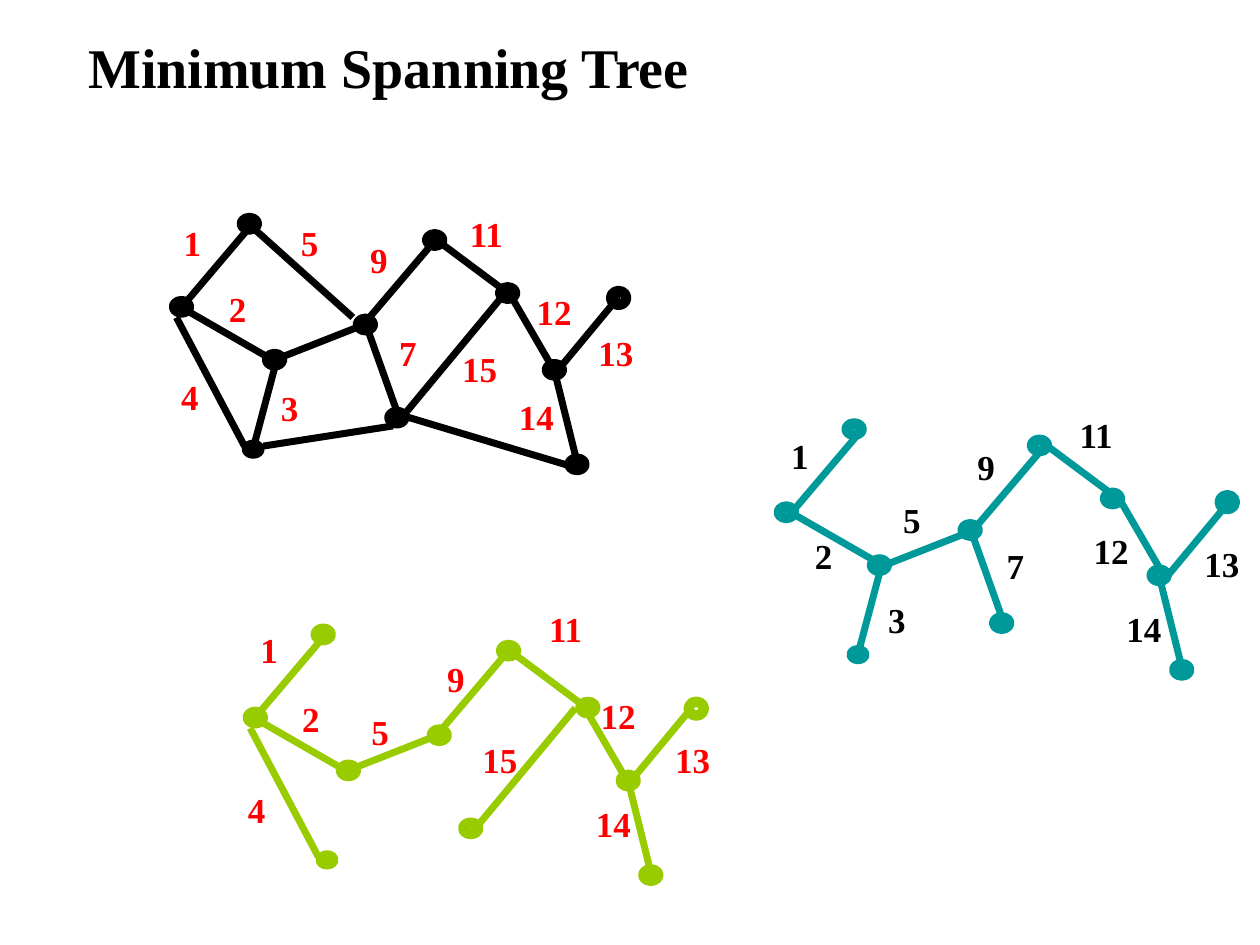
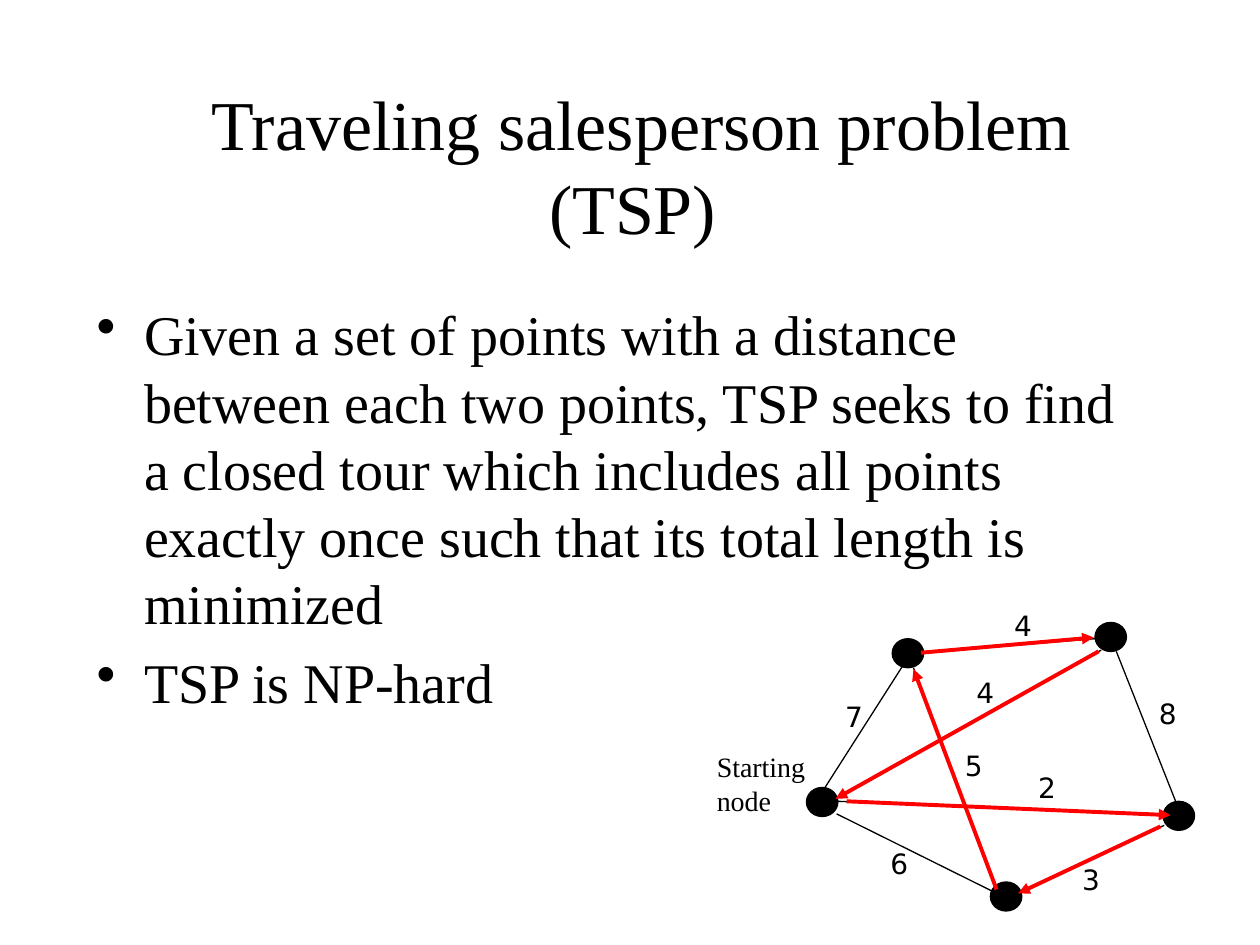
import pptx
import pptx.util
import pptx.dml.color
import pptx.enum.shapes
import pptx.enum.text
from lxml import etree

Pt = pptx.util.Pt
SHAPE = pptx.enum.shapes.MSO_SHAPE
ALIGN = pptx.enum.text.PP_ALIGN
INK = {"black": "000000", "red": "FF0000", "teal": "009999", "lime": "99CC00"}
SERIF, SANS = "Times New Roman", "DejaVu Sans"

DOT = (8.6, 6.5)
NODES = {
    "a": (138.2, 124.6, *DOT), "b": (99.4, 172.1, *DOT),
    "c": (152.6, 202.3, *DOT), "d": (141.1, 254.2, 7.2, 5),
    "e": (204.5, 182.2, *DOT), "f": (222.5, 235.4, *DOT),
    "g": (244.1, 133.9, *DOT), "h": (285.8, 164.2, *DOT),
    "i": (312.5, 208.1, *DOT), "j": (325.4, 262.1, *DOT),
    "k": (349.2, 166.3, 8.6, 7.9),
}
TRUNK = [(144, 128.2), (103.7, 175.7), (156.2, 205.9), (207.4, 185.8), (249.1, 136.8),
         (291.6, 168.5), (317.5, 213.1), (352.8, 170.6), (354.2, 170.6)]
EDGES = {
    "cd": (157.7, 207.4, 144.7, 256.3), "ef": (209.5, 186.5, 228.2, 239),
    "ij": (317.5, 214.6, 330.5, 267.1), "bd": (100.8, 181.4, 139.7, 254.9),
    "ae": (144.7, 130.3, 201.6, 181.4), "fj": (230.4, 237.6, 326.2, 266.4),
    "fh": (230.4, 237.6, 286.6, 169.9), "df": (150.5, 254.9, 224.6, 243.4),
}
GRAPHS = [
    {"ink": "black", "shift": (0, 0), "trunk": 0, "edges": list(EDGES), "moved": {},
     "text": "red", "costs": [
         (1, 97.9, 123.1), (2, 123.8, 160.6), (3, 153.4, 217.4), (4, 96.5, 211),
         (5, 164.9, 123.1), (7, 221, 185.8), (9, 204.5, 132.5), (11, 261.4, 118.1),
         (12, 299.5, 162.7), (13, 334.8, 185.8), (14, 289.4, 222.5), (15, 257, 195.1)]},
    {"ink": "teal", "shift": (345.6, 117.4), "trunk": 2.9, "edges": ["cd", "ef", "ij"],
     "moved": {"k": (2.2, -0.7)}, "text": "black", "costs": [
         (1, 445, 244.8), (2, 458.6, 301.7), (3, 500.4, 338.4), (5, 509, 281.5),
         (7, 568.1, 307.4), (9, 551.5, 251.3), (11, 609.8, 232.6),
         (12, 617.8, 298.8), (13, 681.1, 306.7), (14, 636.5, 343.4)]},
    {"ink": "lime", "shift": (42.2, 234.7), "trunk": -0.4, "edges": ["ij", "bd", "fh"],
     "moved": {"h": (3.6, 2.2), "k": (2.2, 0)}, "text": "red", "costs": [
         (1, 141.8, 355.7), (2, 165.6, 395.3), (4, 134.6, 447.1), (5, 205.2, 402.5),
         (9, 248.4, 372.2), (11, 306.7, 343.4), (12, 336.2, 393.1),
         (13, 378.7, 418.3), (14, 333.4, 455), (15, 268.6, 418.3)]},
]

POINTS = [
    "Given a set of points with a distance between each two points, TSP seeks to find "
    "a closed tour which includes all points exactly once such that its total length "
    "is minimized",
    "TSP is NP-hard",
]
STOPS = [(509.8, 365), (625.7, 355.7), (565.9, 504), (664.6, 457.9), (460.8, 450)]
ROADS = [
    (527.8, 373, 625.7, 365), (637.9, 372.2, 671.8, 457.9), (665.3, 471.6, 583.9, 509.8),
    (522, 381.6, 569.5, 507.6), (478.8, 455.8, 629.3, 371.5), (478.1, 465.1, 568.1, 509.8),
    (478.8, 457.9, 664.6, 465.8), (467.3, 456.5, 517, 378.7),
]
TOUR = [
    (483.8, 457.9, 668.9, 465.8), (663.1, 472.3, 581.8, 510.5), (569.5, 508.3, 522, 382.3),
    (526.3, 373, 625, 364.3), (627.8, 372.2, 477.4, 456.5),
]
MILES = [(6, 501.8, 480.2), (2, 586.1, 437), (3, 611.3, 489.6), (5, 544.3, 424.1),
         (4, 572.4, 344.2), (8, 655.2, 394.6), (4, 550.8, 382.3), (7, 475.9, 396)]


def paint(part, ink):
    part.rgb = pptx.dml.color.RGBColor.from_string(INK[ink])


def sub(node, tag, **attrs):
    return etree.SubElement(node, pptx.oxml.ns.qn(tag), **attrs)


def write(shape, text, size=20, font=SERIF, ink="black", bold=False, align=ALIGN.LEFT,
          wrap=False, middle=False, bullet=False, gap=0):
    frame = shape.text_frame
    frame.auto_size = pptx.enum.text.MSO_AUTO_SIZE.NONE
    frame.word_wrap = wrap
    anchor = pptx.enum.text.MSO_ANCHOR
    frame.vertical_anchor = anchor.MIDDLE if middle else anchor.TOP
    frame.text = text
    for n, para in enumerate(frame.paragraphs):
        if bullet:
            props = para._p.get_or_add_pPr()
            props.set("marL", str(Pt(27)))
            props.set("indent", str(Pt(-27)))
            sub(props, "a:buChar", char="•")
        para.alignment = align
        para.space_before = Pt(gap if n else 0)
        for run in para.runs:
            run.font.size, run.font.name, run.font.bold = Pt(size), font, bold
            paint(run.font.color, ink)


def label(slide, text, x, y, w, h, **style):
    write(slide.shapes.add_textbox(Pt(x), Pt(y), Pt(w), Pt(h)), text, **style)


def head(slide, text, x, y, w, h, **style):
    title = slide.shapes.title
    title.left, title.top, title.width, title.height = Pt(x), Pt(y), Pt(w), Pt(h)
    write(title, text, wrap=True, middle=True, **style)


def link(slide, ends, ink, width, arrow=False):
    kind = pptx.enum.shapes.MSO_CONNECTOR.STRAIGHT
    line = slide.shapes.add_connector(kind, *map(Pt, ends))
    line.line.width = Pt(width)
    paint(line.line.color, ink)
    if arrow:
        sub(line.line._get_or_add_ln(), "a:tailEnd", type="triangle")
    sub(line._element.spPr, "a:effectLst")


def edge(shape, ink, width, fill=False):
    shape.shadow.inherit = False
    if fill:
        shape.fill.solid()
        paint(shape.fill.fore_color, ink)
    else:
        shape.fill.background()
    shape.line.width = Pt(width)
    paint(shape.line.color, ink)


def dot(slide, box, ink, width, fill=False):
    edge(slide.shapes.add_shape(SHAPE.OVAL, *map(Pt, box)), ink, width, fill)


def graph(slide, plan):
    dx, dy = plan["shift"]
    ink = plan["ink"]
    trunk = [(Pt(x + dx + plan["trunk"]), Pt(y + dy)) for x, y in TRUNK]
    build = slide.shapes.build_freeform(*trunk[0])
    build.add_line_segments(trunk[1:], close=False)
    edge(build.convert_to_shape(), ink, 4)
    for name in plan["edges"]:
        x1, y1, x2, y2 = EDGES[name]
        link(slide, (x1 + dx, y1 + dy, x2 + dx, y2 + dy), ink, 4)
    for name, (x, y, w, h) in NODES.items():
        mx, my = plan["moved"].get(name, (0, 0))
        dot(slide, (x + dx + mx, y + dy + my, w, h), ink, 6)
    for cost, x, y in plan["costs"]:
        label(slide, str(cost), x, y, 24.5 if cost < 10 else 34.5, 31.7,
              ink=plan["text"], bold=True)


def trees(slide):
    head(slide, "Minimum Spanning Tree", 43.2, 0, 633.6, 75.6, size=32, bold=True)
    for plan in GRAPHS:
        graph(slide, plan)


def tour(slide):
    head(slide, "Traveling salesperson problem\v(TSP) ", 59.8, 49, 613.4, 90,
         size=40, align=ALIGN.CENTER)
    label(slide, "\n".join(POINTS), 48.2, 167.8, 601.2, 260.6,
          size=32, wrap=True, bullet=True, gap=6.4)
    for x, y in STOPS:
        dot(slide, (x, y, 18, 16.6), "black", 0.75, fill=True)
    for ends in ROADS:
        link(slide, ends, "black", 0.75)
    for ends in TOUR:
        link(slide, ends, "red", 2.25, arrow=True)
    for miles, x, y in MILES:
        label(slide, str(miles), x, y, 24.5, 26.6, size=16, font=SANS)
    label(slide, "Starting\nnode", 402.5, 424.8, 65.5, 46, size=16)


def main():
    deck = pptx.Presentation()
    deck.slide_width, deck.slide_height = Pt(720), Pt(540)
    for draw in (trees, tour):
        draw(deck.slides.add_slide(deck.slide_layouts[5]))
    deck.save("out.pptx")


if __name__ == "__main__":
    main()
